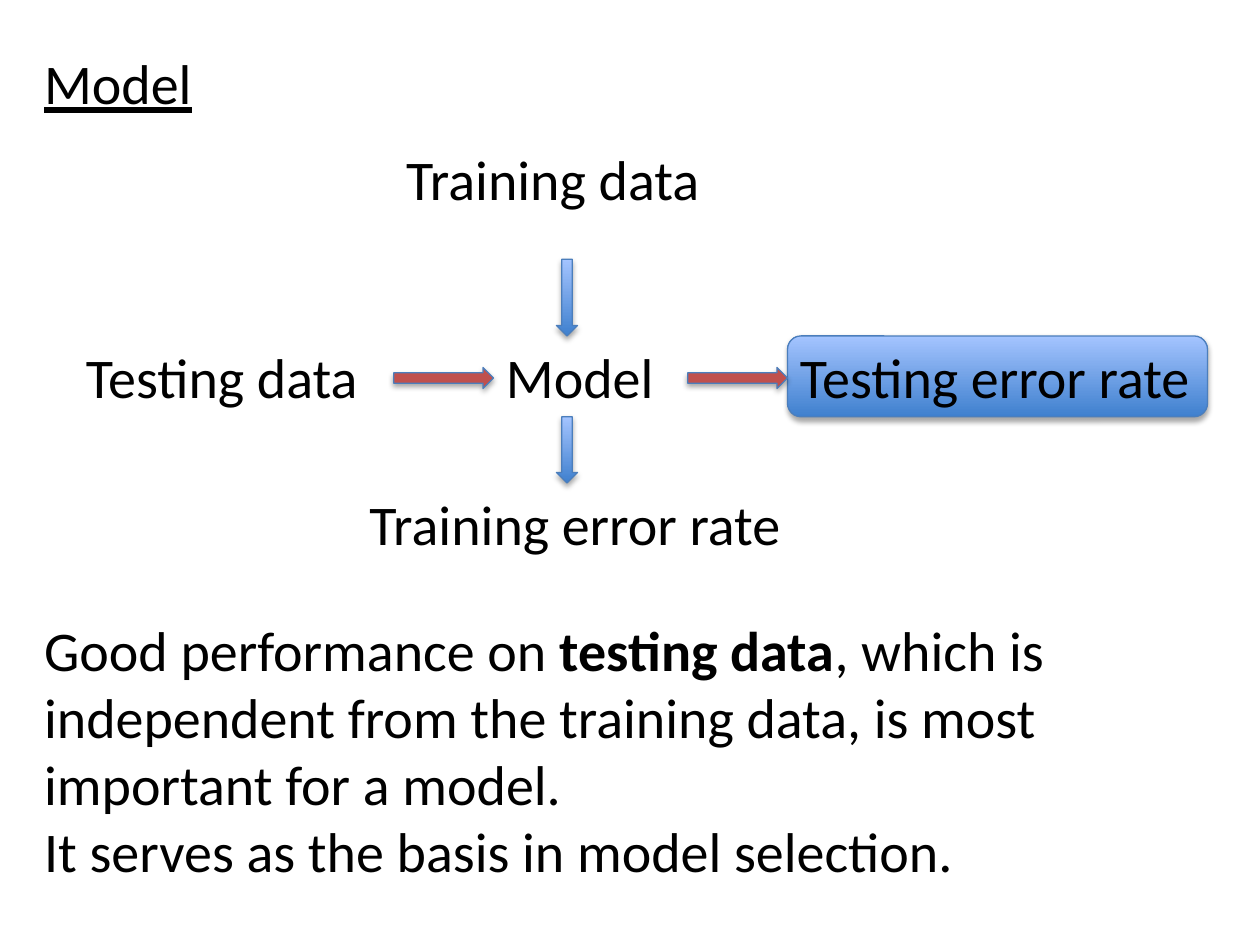
import pptx
import pptx.util
import pptx.dml.color
import pptx.enum.shapes
import pptx.enum.text
import pptx.oxml.ns
import lxml.etree

COLORS = {"text": "000000", "light": "A4C4FF", "dark": "3F80CE",
          "red": "C0504D", "outline": "4B7EBC", "shadow": "000000"}
COLUMNS, ROWS = 120, 90
WIDTH, HEIGHT = pptx.util.Inches(10), pptx.util.Inches(7.5)
SHAPE = pptx.enum.shapes.MSO_SHAPE
LINE_ROWS = 7.7
MIDDLE_ROW = 32


def color(name):
    return pptx.dml.color.RGBColor.from_string(COLORS[name])


def grid(left, top, width, height):
    """Turn columns and rows into slide lengths."""
    return (round(left * WIDTH / COLUMNS), round(top * HEIGHT / ROWS),
            round(width * WIDTH / COLUMNS), round(height * HEIGHT / ROWS))


def add_span(para, text, bold=False, underline=False):
    span = para.add_run()
    span.text = text
    span.font.name = "Calibri"
    span.font.size = pptx.util.Pt(32)
    span.font.bold = bold
    span.font.underline = underline
    span.font.color.rgb = color("text")


def format_frame(frame):
    frame.word_wrap = True
    frame.auto_size = pptx.enum.text.MSO_AUTO_SIZE.SHAPE_TO_FIT_TEXT
    frame.vertical_anchor = pptx.enum.text.MSO_ANCHOR.TOP


def fill_placeholder(holder, area, paragraphs):
    """Move a placeholder and write plain, left-aligned paragraphs of spans."""
    holder.left, holder.top, holder.width, holder.height = grid(*area)
    frame = holder.text_frame
    format_frame(frame)
    for index, spans in enumerate(paragraphs):
        para = frame.add_paragraph() if index else frame.paragraphs[0]
        para.alignment = pptx.enum.text.PP_ALIGN.LEFT
        para.space_before = pptx.util.Pt(0)
        properties = para._p.get_or_add_pPr()
        properties.set("marL", "0")
        properties.set("indent", "0")
        lxml.etree.SubElement(properties, pptx.oxml.ns.qn("a:buNone"))
        for text, style in spans:
            add_span(para, text, **style)


def add_label(group, text, left, top, width):
    box = group.shapes.add_textbox(*grid(left, top, width, LINE_ROWS))
    format_frame(box.text_frame)
    add_span(box.text_frame.paragraphs[0], text)


def add_shadow(shape):
    shape.shadow.inherit = False
    effects = shape._element.spPr.find(pptx.oxml.ns.qn("a:effectLst"))
    outer = lxml.etree.SubElement(
        effects, pptx.oxml.ns.qn("a:outerShdw"), blurRad="40000",
        dist="23000", dir="5400000", rotWithShape="0")
    tint = lxml.etree.SubElement(outer, pptx.oxml.ns.qn("a:srgbClr"),
                                 val=COLORS["shadow"])
    lxml.etree.SubElement(tint, pptx.oxml.ns.qn("a:alpha"), val="35000")


def add_block(group, kind, left, top, width, height, solid=None):
    """Add an outlined shape, blue gradient unless a solid colour is named."""
    shape = group.shapes.add_shape(kind, *grid(left, top, width, height))
    if solid:
        shape.fill.solid()
        shape.fill.fore_color.rgb = color(solid)
    else:
        shape.fill.gradient()
        shape.fill.gradient_angle = 90
        for stop, name in zip(shape.fill.gradient_stops, ("dark", "light")):
            stop.color.rgb = color(name)
    shape.line.color.rgb = color("outline")
    shape.line.width = pptx.util.Pt(0.75)
    add_shadow(shape)


def add_down_arrow(group, top, height):
    add_block(group, SHAPE.DOWN_ARROW, 53, top, 2, height)


def add_right_arrow(group, left):
    add_block(group, SHAPE.RIGHT_ARROW, left, MIDDLE_ROW + 3, 9.5, 2, "red")


def add_training_flow(page):
    add_label(page, "Training data", 37.5, 13.2, 31)
    model = page.shapes.add_group_shape()
    add_label(model, "Model", 47, MIDDLE_ROW, 16.5)
    add_down_arrow(model, 24.7, 7.3)
    result = page.shapes.add_group_shape()
    add_label(result, "Training error rate", 34, 46, 44)
    add_down_arrow(result, MIDDLE_ROW + LINE_ROWS, 6.3)


def add_testing_flow(page):
    testing = page.shapes.add_group_shape()
    add_block(testing, SHAPE.ROUNDED_RECTANGLE, 75, MIDDLE_ROW, 40, LINE_ROWS)
    add_label(testing, "Testing data", 7, MIDDLE_ROW, 30.5)
    add_right_arrow(testing, 37.5)
    add_label(testing, "Testing error rate", 75, MIDDLE_ROW, 42)
    add_right_arrow(testing, 65.5)


def main():
    deck = pptx.Presentation()
    deck.slide_width, deck.slide_height = WIDTH, HEIGHT
    page = deck.slides.add_slide(deck.slide_layouts[1])
    fill_placeholder(page.shapes.title, (3, 4, 114, LINE_ROWS),
                     [[("Model", {"underline": True})]])
    fill_placeholder(page.placeholders[1], (3, 58, 112, 27.1), [
        [("Good performance on ", {}),
         ("testing data", {"bold": True}),
         (", which is independent from the training data, "
          "is most important for a model.", {})],
        [("It serves as the basis in model selection.", {})],
    ])
    add_training_flow(page)
    add_testing_flow(page)
    deck.save("out.pptx")


if __name__ == "__main__":
    main()
